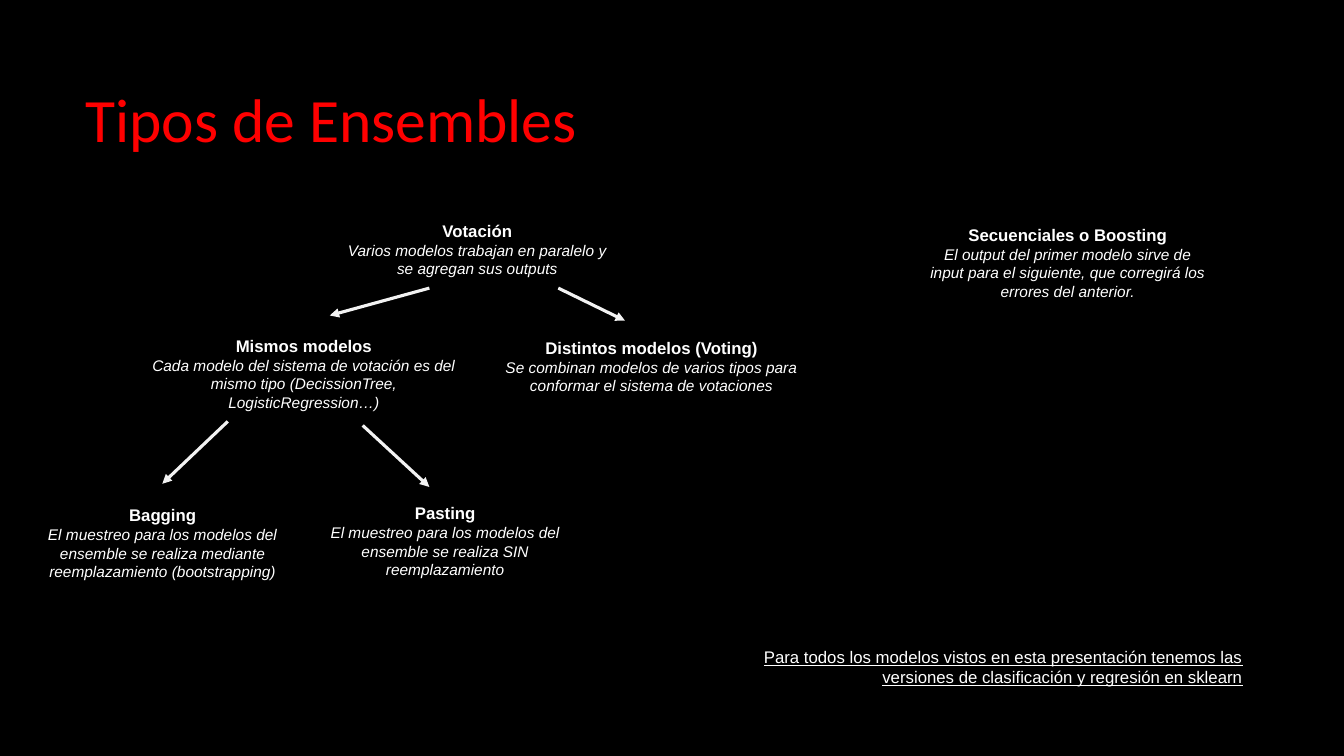
from lxml import etree
from pptx import Presentation
from pptx.dml.color import RGBColor
from pptx.enum.shapes import MSO_CONNECTOR
from pptx.enum.text import MSO_ANCHOR, MSO_AUTO_SIZE, PP_ALIGN
from pptx.oxml.ns import qn
from pptx.util import Cm, Pt

BLACK = RGBColor(0x00, 0x00, 0x00)
RED = RGBColor(0xFF, 0x00, 0x00)
WHITE = RGBColor(0xFF, 0xFF, 0xFF)
LIGHT_GREY = RGBColor(0xF2, 0xF2, 0xF2)
LEFT, CENTER, RIGHT = PP_ALIGN.LEFT, PP_ALIGN.CENTER, PP_ALIGN.RIGHT
MIDDLE = MSO_ANCHOR.MIDDLE
NO_FIT, GROW = MSO_AUTO_SIZE.NONE, MSO_AUTO_SIZE.SHAPE_TO_FIT_TEXT
STRAIGHT = MSO_CONNECTOR.STRAIGHT


def write(p, text, size=12, font="Arial", color=WHITE, align=CENTER,
          bold=False, italic=False, underline=False):
    p.alignment = align
    r = p.add_run()
    r.text = text
    r.font.size = Pt(size)
    r.font.name = font
    r.font.color.rgb = color
    r.font.bold = bold
    r.font.italic = italic
    r.font.underline = underline


def add_box(s, left, top, width, height):
    sp = s.shapes.add_textbox(Cm(left), Cm(top), Cm(width), Cm(height))
    tf = sp.text_frame
    tf.word_wrap = True
    tf.auto_size = GROW
    return tf


prs = Presentation()
prs.slide_width, prs.slide_height = Cm(33.87), Cm(19.05)
s = prs.slides.add_slide(prs.slide_layouts[5])
s.background.fill.solid()
s.background.fill.fore_color.rgb = BLACK

# Title
title = s.shapes.title
title.left, title.top, title.width, title.height = Cm(1.9), Cm(1.6), Cm(21.2), Cm(3)
tf = title.text_frame
tf.auto_size = NO_FIT
tf.vertical_anchor = MIDDLE
tf.paragraphs[0].line_spacing = 0.9
write(tf.paragraphs[0], "Tipos de Ensembles", size=44, font="Calibri", color=RED, align=LEFT)

# Ensemble types: heading, description, left, top, width, height
ensembles = [
    ("Votación",
     "Varios modelos trabajan en paralelo y se agregan sus outputs",
     8.31, 5.44, 7.44, 1.7),
    ("Mismos modelos",
     "Cada modelo del sistema de votación es del mismo tipo (DecissionTree, LogisticRegression…)",
     3.28, 8.33, 8.76, 2.18),
    ("Distintos modelos (Voting)",
     "Se combinan modelos de varios tipos para conformar el sistema de votaciones",
     12.04, 8.38, 8.76, 1.7),
    ("Bagging",
     "El muestreo para los modelos del ensemble se realiza mediante reemplazamiento (bootstrapping)",
     0.53, 12.6, 7.14, 2.18),
    ("Pasting",
     "El muestreo para los modelos del ensemble se realiza SIN reemplazamiento",
     7.65, 12.55, 7.14, 2.18),
    ("Secuenciales o Boosting",
     "El output del primer modelo sirve de input para el siguiente, "
     "que corregirá los errores del anterior.",
     23.19, 5.54, 7.44, 2.18),
]
for heading, description, left, top, width, height in ensembles:
    tf = add_box(s, left, top, width, height)
    write(tf.paragraphs[0], heading, bold=True)
    write(tf.add_paragraph(), description, size=11, italic=True)

# Arrows between the levels of the tree
arrows = [
    (10.82, 7.26, 8.31, 7.95),
    (14.07, 7.26, 15.75, 8.08),
    (9.14, 10.72, 10.82, 12.27),
    (5.74, 10.62, 4.09, 12.19),
]
for x1, y1, x2, y2 in arrows:
    arrow = s.shapes.add_connector(STRAIGHT, Cm(x1), Cm(y1), Cm(x2), Cm(y2))
    arrow.line.color.rgb = LIGHT_GREY
    arrow.line.width = Pt(2.25)
    etree.SubElement(arrow.line._get_or_add_ln(), qn("a:tailEnd"), type="triangle")
    etree.SubElement(arrow._element.spPr, qn("a:effectLst"))

# Closing note
tf = add_box(s, 17.37, 16.18, 14.2, 1.27)
write(tf.paragraphs[0],
      "Para todos los modelos vistos en esta presentación tenemos las "
      "versiones de clasificación y regresión en sklearn",
      align=RIGHT, underline=True)

prs.save("out.pptx")
